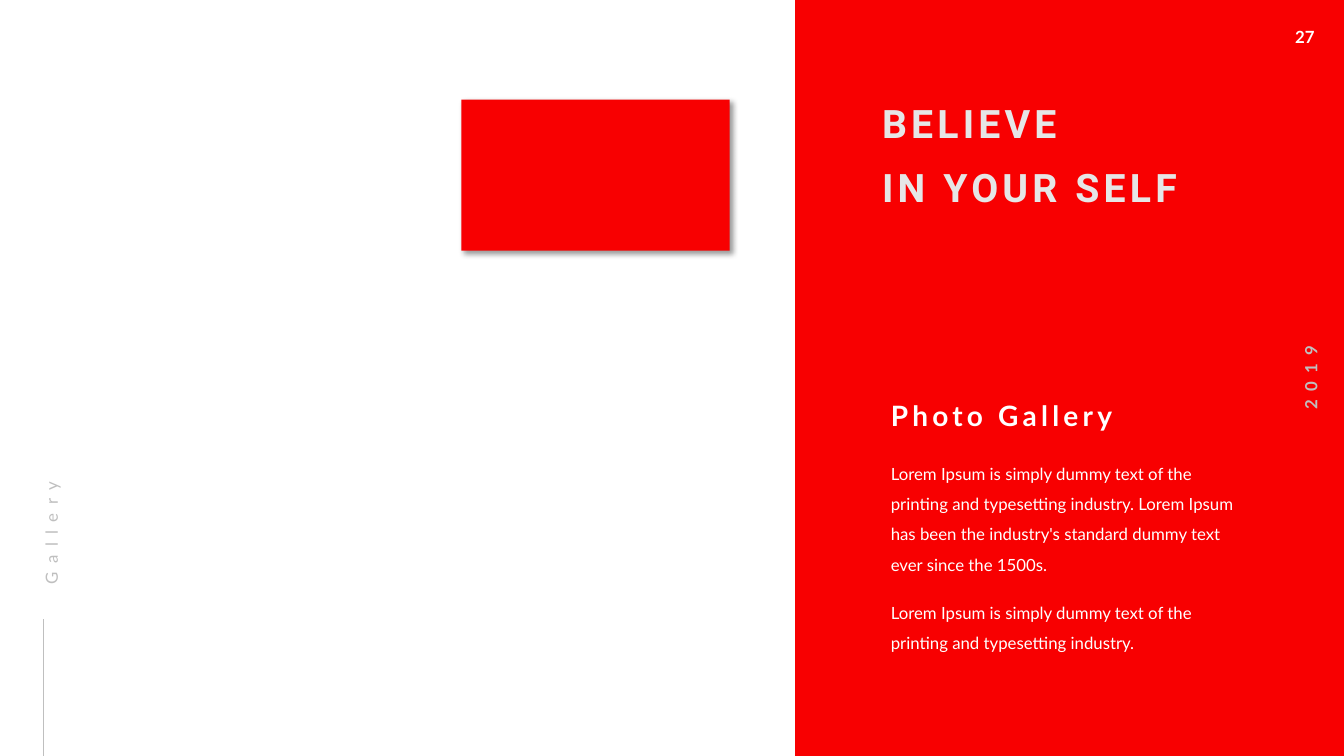
import pptx
import pptx.util
import pptx.dml.color
import pptx.enum.shapes
import pptx.enum.text
import pptx.oxml
import pptx.oxml.ns
from lxml import etree
from pptx.util import Cm

COLORS = {
    "red": "F80001",
    "white": "FFFFFF",
    "black": "000000",
    "grey": "BFBFBF",
    "light": "E6E6E6",
}
SLIDE_W, SLIDE_H = 33.87, 19.05
PANEL_X = 20.04
TEXT_X, TEXT_W = 22.45, 9.12
INTRO = "Lorem Ipsum is simply dummy text of the printing and typesetting industry."
HISTORY = (" Lorem Ipsum has been the industry's standard dummy text"
           " ever since the 1500s.")


def rgb(name):
    return pptx.dml.color.RGBColor.from_string(COLORS[name])


def place(shape, x, y, w, h):
    shape.left, shape.top, shape.width, shape.height = Cm(x), Cm(y), Cm(w), Cm(h)


def write(tf, text, size=12, font="Lato", color="white", bold=False, tracking=0,
          spacing=None, before=0, align="LEFT", wrap=True, inset=True):
    """Fill a text frame, one paragraph per line of text."""
    tf.word_wrap = wrap
    tf.auto_size = pptx.enum.text.MSO_AUTO_SIZE.SHAPE_TO_FIT_TEXT
    tf.vertical_anchor = pptx.enum.text.MSO_ANCHOR.TOP
    if not inset:
        tf.margin_left = tf.margin_top = tf.margin_bottom = 0
    for i, line in enumerate(text.split("\n")):
        p = tf.add_paragraph() if i else tf.paragraphs[0]
        p.alignment = getattr(pptx.enum.text.PP_ALIGN, align)
        p.space_before = pptx.util.Pt(before if i else 0)
        if spacing:
            p.line_spacing = spacing
        r = p.add_run()
        r.text = line
        r.font.size = pptx.util.Pt(size)
        r.font.name = font
        r.font.bold = bold
        r.font.color.rgb = rgb(color)
        if tracking:
            r.font._element.set("spc", str(tracking * 100))


def add_text(shapes, x, y, w, h, text, rotation=0, **fmt):
    tb = shapes.add_textbox(Cm(x), Cm(y), Cm(w), Cm(h))
    tb.rotation = rotation
    write(tb.text_frame, text, **fmt)


def add_block(shapes, x, y, w, h, color):
    sp = shapes.add_shape(pptx.enum.shapes.MSO_SHAPE.RECTANGLE,
                          Cm(x), Cm(y), Cm(w), Cm(h))
    sp.shadow.inherit = False
    sp.fill.solid()
    sp.fill.fore_color.rgb = rgb(color)
    sp.line.fill.background()
    return sp


def add_drop_shadow(sp):
    effects = sp.element.spPr.find(pptx.oxml.ns.qn("a:effectLst"))
    effects.append(pptx.oxml.parse_xml(
        f'<a:outerShdw {pptx.oxml.ns.nsdecls("a")} blurRad="50800" dist="38100"'
        ' dir="2700000" algn="tl" rotWithShape="0">'
        f'<a:srgbClr val="{COLORS["black"]}"><a:alpha val="40000"/></a:srgbClr>'
        '</a:outerShdw>'))


def add_line(shapes, x1, y1, x2, y2, color, width):
    line = shapes.add_connector(pptx.enum.shapes.MSO_CONNECTOR.STRAIGHT,
                                Cm(x1), Cm(y1), Cm(x2), Cm(y2))
    line.line.color.rgb = rgb(color)
    line.line.width = pptx.util.Pt(width)
    etree.SubElement(line.element.spPr, pptx.oxml.ns.qn("a:effectLst"))


def main():
    prs = pptx.Presentation()
    prs.slide_width, prs.slide_height = Cm(SLIDE_W), Cm(SLIDE_H)
    s = prs.slides.add_slide(prs.slide_layouts[5])

    # Red panel
    add_block(s.shapes, PANEL_X, 0, SLIDE_W - PANEL_X, SLIDE_H, "red")

    # Section label with its line
    section = s.shapes.add_group_shape().shapes
    add_line(section, 1.1, SLIDE_H, 1.1, 15.6, "grey", 0.5)
    add_text(section, -1.24, 12.04, 4.7, 0.66, "Gallery", rotation=270,
             color="grey", tracking=6, spacing=1.5, inset=False)

    # Page number and year
    add_text(s.shapes, 32.39, 0.56, 1.04, 0.76, "27", bold=True, wrap=False)
    add_text(s.shapes, 31.85, 9.14, 2.36, 0.76, "2019", rotation=270,
             color="grey", bold=True, tracking=6, align="CENTER", wrap=False)

    # Card
    add_drop_shadow(add_block(s.shapes, 11.63, 2.51, 6.76, 3.81, "red"))

    # Panel text
    add_text(s.shapes, TEXT_X, 10.03, 6.76, 0.86, "Photo Gallery",
             size=20, bold=True, tracking=3, inset=False)
    for y, h, text in [(11.43, 2.97, INTRO + HISTORY), (14.94, 1.45, INTRO)]:
        add_text(s.shapes, TEXT_X, y, TEXT_W, h, text, spacing=1.5, inset=False)

    # Title, brought in front of the panel
    title = s.shapes.title
    place(title, 22.23, 2.51, 9.35, 2.82)
    write(title.text_frame, "BELIEVE\nIN YOUR SELF", size=28, font="Roboto",
          color="light", bold=True, tracking=3, before=12, inset=False)
    s.shapes.element.append(title.element)

    prs.save("out.pptx")


if __name__ == "__main__":
    main()
